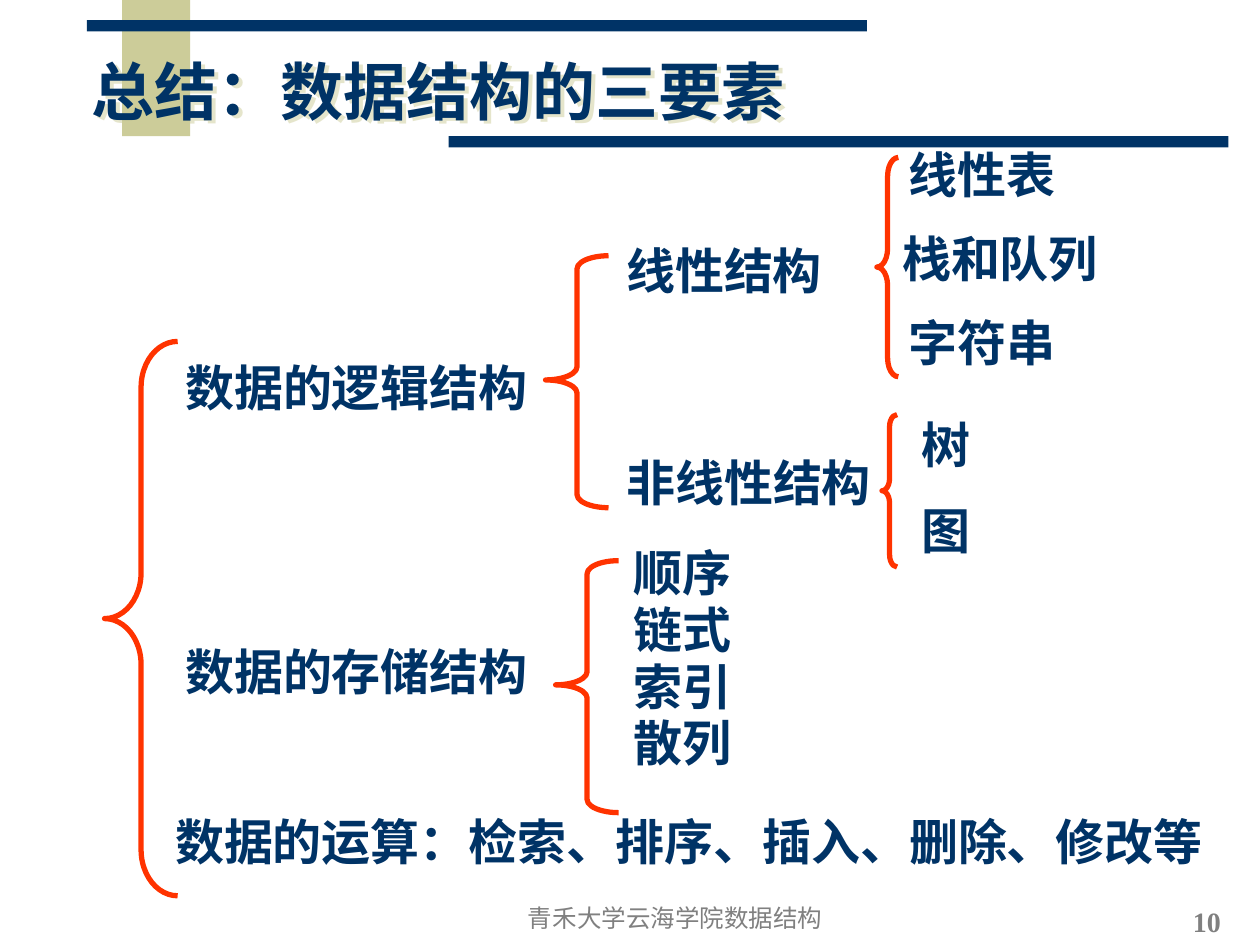
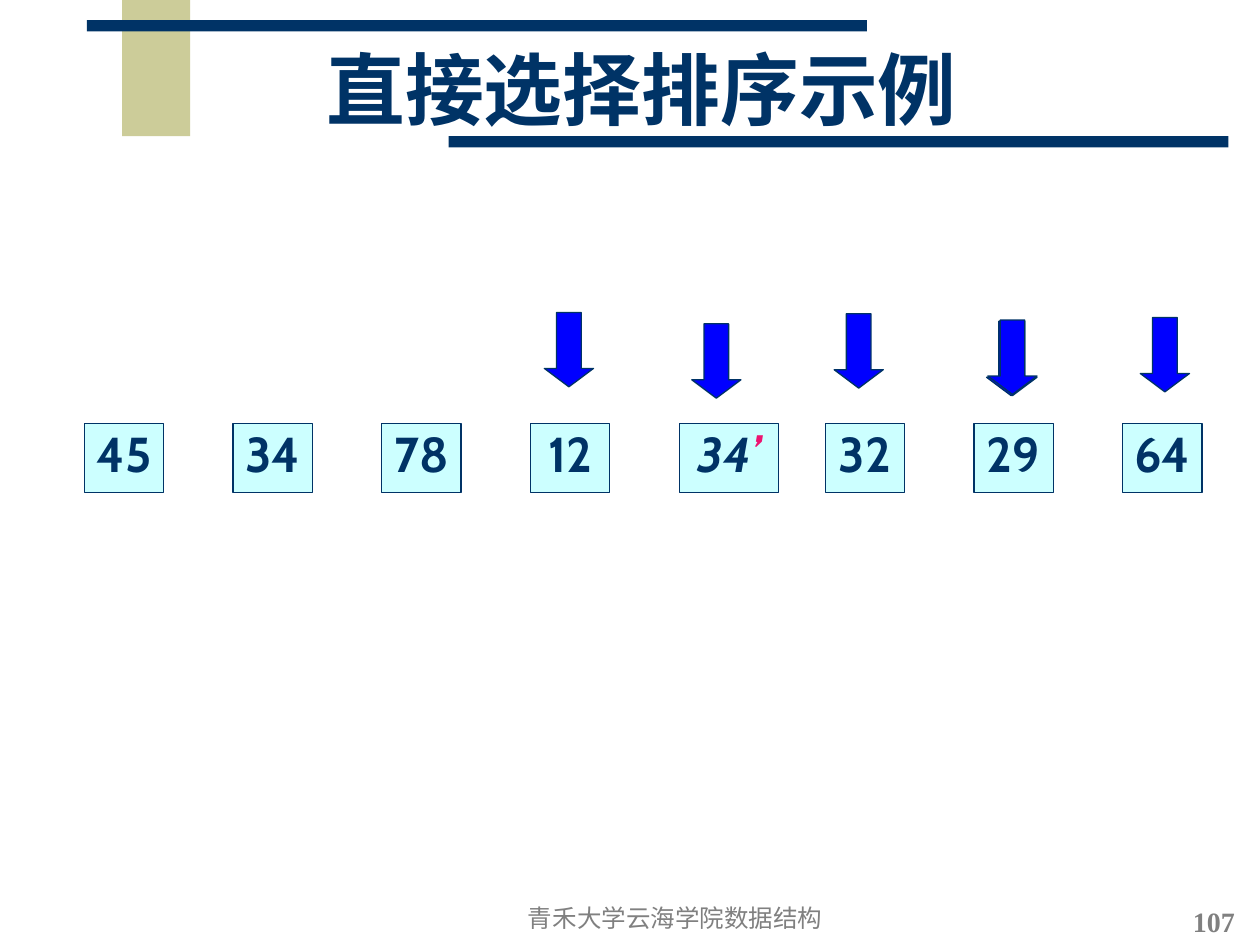
"""Two data structure slides: a brace tree summary and a selection sort row."""
from dataclasses import dataclass

from lxml.etree import SubElement
from pptx import Presentation
from pptx.dml.color import RGBColor
from pptx.enum.shapes import MSO_SHAPE
from pptx.enum.text import MSO_ANCHOR, MSO_AUTO_SIZE, PP_ALIGN
from pptx.oxml.ns import qn
from pptx.util import Inches, Pt

NAVY = RGBColor(0x00, 0x33, 0x66)
KHAKI = RGBColor(0xCC, 0xCC, 0x99)
GREY = RGBColor(0x80, 0x80, 0x80)
RED = RGBColor(0xFF, 0x33, 0x00)
PINK = RGBColor(0xED, 0x13, 0x70)
AQUA = RGBColor(0xCC, 0xFF, 0xFF)
BLUE = RGBColor(0x00, 0x00, 0xFF)
SERIF, SANS, DIGITS = "Times New Roman", "Noto Sans CJK SC", "Cabin"
COLUMNS, ROWS = 100, 75
FOOTER = "青禾大学云海学院数据结构"

deck = Presentation()
deck.slide_width, deck.slide_height = Inches(10), Inches(7.5)


@dataclass(frozen=True)
class Area:
    """A rectangle in columns and rows of the slide grid."""
    left: float
    top: float
    width: float
    height: float

    def lengths(self) -> tuple[int, int, int, int]:
        column, row = deck.slide_width / COLUMNS, deck.slide_height / ROWS
        return (round(self.left * column), round(self.top * row),
                round(self.width * column), round(self.height * row))


@dataclass(frozen=True)
class Style:
    """The look of a span of text."""
    size: float
    color: RGBColor = NAVY
    font: str = SERIF
    east_asian: str = SANS
    bold: bool = True
    italic: bool = False


@dataclass(frozen=True)
class Label:
    """A tree label, placed by the left edge of its text and its top."""
    text: str
    left: float
    top: float


@dataclass(frozen=True)
class Brace:
    """A left brace with its curl and the height of its point."""
    area: Area
    curl: float
    point: float = 0.5


LABEL = Style(28)
FOOTER_STYLE = Style(14, GREY, bold=False)
NUMBER_STYLE = Style(16, GREY)
KEY = Style(28, font=DIGITS, east_asian=DIGITS)
TWIN = Style(28, font=DIGITS, east_asian=DIGITS, italic=True)
TICK = Style(28, PINK, DIGITS, DIGITS, italic=True)

BANDS = (
    (Area(9.7, 0, 5.4, 10.8), KHAKI),
    (Area(6.9, 1.6, 61.9, 0.9), NAVY),
    (Area(35.6, 10.8, 61.9, 0.9), NAVY),
)
BRACES = (
    Brace(Area(69.6, 12.5, 1.7, 17.4), 0.869),
    Brace(Area(8.3, 27.1, 5.8, 44), 0.628),
    Brace(Area(43.3, 20.3, 5, 20), 0.209, 0.493),
    Brace(Area(70, 32.9, 1.2, 12.1), 0.804),
    Brace(Area(44.1, 44.5, 5, 20), 0.209, 0.493),
)
LABELS = (
    Label("数据的逻辑结构", 14.7, 28.4),
    Label("数据的存储结构", 14.7, 50.9),
    Label("数据的运算：检索、排序、插入、删除、修改等", 13.9, 64.4),
    Label("线性结构", 49.7, 19.1),
    Label("非线性结构", 49.7, 35.9),
    Label("线性表", 72.1, 11.5),
    Label("栈和队列", 71.6, 18.1),
    Label("字符串", 72.1, 24.8),
    Label("树", 73.1, 32.9),
    Label("图", 73.1, 39.7),
)
STORAGE = ("顺序", "链式", "索引", "散列")
KEYS = ("45", "34", "78", "12", "34", "32", "29", "64")
TWIN_INDEX = 4
ARROWS = ((43.2, 24.8), (66.2, 24.9), (78.4, 25.5), (78.3, 25.5),
          (54.9, 25.7), (78.4, 25.4), (90.5, 25.2))


def add_span(para, text: str, style: Style) -> None:
    """Append one styled run to a paragraph."""
    span = para.add_run()
    span.text = text
    font = span.font
    font.size, font.bold, font.italic = Pt(style.size), style.bold, style.italic
    font.name, font.color.rgb = style.font, style.color
    east_asian = SubElement(span._r.get_or_add_rPr(), qn("a:ea"))
    east_asian.set("typeface", style.east_asian)


def set_frame(shape, anchor: MSO_ANCHOR, wrap: bool, inset: float = 0.05):
    """Prepare the text frame of a shape and return its first paragraph."""
    frame = shape.text_frame
    frame.auto_size, frame.word_wrap = MSO_AUTO_SIZE.NONE, wrap
    frame.vertical_anchor = anchor
    frame.margin_left = frame.margin_right = Inches(2 * inset)
    frame.margin_top = frame.margin_bottom = Inches(inset)
    return frame.paragraphs[0]


def add_text(page, area: Area, text: str, style: Style, wrap: bool = True,
             anchor: MSO_ANCHOR = MSO_ANCHOR.TOP, inset: float = 0.05,
             align: PP_ALIGN = PP_ALIGN.LEFT):
    """Add a text box with one paragraph and return it."""
    box = page.shapes.add_textbox(*area.lengths())
    para = set_frame(box, anchor, wrap, inset)
    para.alignment = align
    add_span(para, text, style)
    return box


def add_figure(page, kind: MSO_SHAPE, area: Area, fill: RGBColor | None = None,
               line: RGBColor | None = None, weight: float = 0.75):
    """Add a preset shape without a shadow and return it."""
    figure = page.shapes.add_shape(kind, *area.lengths())
    figure.shadow.inherit = False
    if fill is None:
        figure.fill.background()
    else:
        figure.fill.solid()
        figure.fill.fore_color.rgb = fill
    if line is None:
        figure.line.fill.background()
    else:
        figure.line.color.rgb, figure.line.width = line, Pt(weight)
    return figure


def add_shadow(shape) -> None:
    """Cast a pale khaki shadow down and to the right."""
    effects = SubElement(shape._element.spPr, qn("a:effectLst"))
    shadow = SubElement(effects, qn("a:outerShdw"), dist=str(Inches(0.04)),
                        dir="2700000", algn="ctr", rotWithShape="0")
    color = SubElement(shadow, qn("a:srgbClr"), val=str(KHAKI))
    SubElement(color, qn("a:alpha"), val="50000")


def add_page(title: str, area: Area, size: float, align: PP_ALIGN,
             spacing: float, number: int):
    """Add a slide with its bands, title, footer and number."""
    page = deck.slides.add_slide(deck.slide_layouts[5])
    heading = page.shapes.title
    for band, color in BANDS:
        heading._element.addprevious(
            add_figure(page, MSO_SHAPE.RECTANGLE, band, color)._element)
    heading.left, heading.top, heading.width, heading.height = area.lengths()
    para = set_frame(heading, MSO_ANCHOR.MIDDLE, True)
    para.alignment, para.line_spacing = align, spacing
    add_span(para, title, Style(size))
    add_text(page, Area(40.7, 69.5, 25.8, 5), FOOTER, FOOTER_STYLE,
             anchor=MSO_ANCHOR.BOTTOM, align=PP_ALIGN.CENTER)
    add_text(page, Area(93.7, 71.3, 6.3, 3.7), str(number), NUMBER_STYLE)
    return page


def build_summary() -> None:
    """Draw the brace tree of the three elements."""
    page = add_page("总结：数据结构的三要素", Area(6.3, 3.6, 60.9, 7.1), 36,
                    PP_ALIGN.LEFT, 1, 10)
    add_shadow(page.shapes.title)
    for brace in BRACES:
        figure = add_figure(page, MSO_SHAPE.LEFT_BRACE, brace.area, line=RED, weight=3)
        figure.adjustments[0], figure.adjustments[1] = brace.curl, brace.point
    for label in LABELS:
        area = Area(label.left, label.top, 3.9 * len(label.text), 5.7)
        add_text(page, area, label.text, LABEL, wrap=False, inset=0)
    box = add_text(page, Area(50.3, 44.3, 7.8, 21.1), STORAGE[0], LABEL,
                   wrap=False, inset=0)
    for text in STORAGE[1:]:
        add_span(box.text_frame.add_paragraph(), text, LABEL)
    for para in box.text_frame.paragraphs:
        para.line_spacing, para.space_before = 0.7, Pt(9)


def build_sort() -> None:
    """Draw the row of keys and the arrows above it."""
    page = add_page("直接选择排序示例", Area(5.9, 1.3, 90, 12.5), 45,
                    PP_ALIGN.CENTER, 0.85, 107)
    for index, key in enumerate(KEYS):
        twin = index == TWIN_INDEX
        area = Area(6.7 + 11.8 * index - 0.2 * (index > TWIN_INDEX), 33.6,
                    7.9 if twin else 6.3, 5.5)
        cell = add_figure(page, MSO_SHAPE.RECTANGLE, area, AQUA, NAVY)
        para = set_frame(cell, MSO_ANCHOR.MIDDLE, False)
        para.alignment, para.line_spacing = PP_ALIGN.CENTER, 0.8
        add_span(para, key, TWIN if twin else KEY)
        if twin:
            add_span(para, "’", TICK)
    for left, top in ARROWS:
        arrow = add_figure(page, MSO_SHAPE.DOWN_ARROW, Area(left, top, 3.9, 5.9), BLUE, NAVY)
        arrow.adjustments[0], arrow.adjustments[1] = 0.5, 0.374


build_summary()
build_sort()
deck.save("out.pptx")
